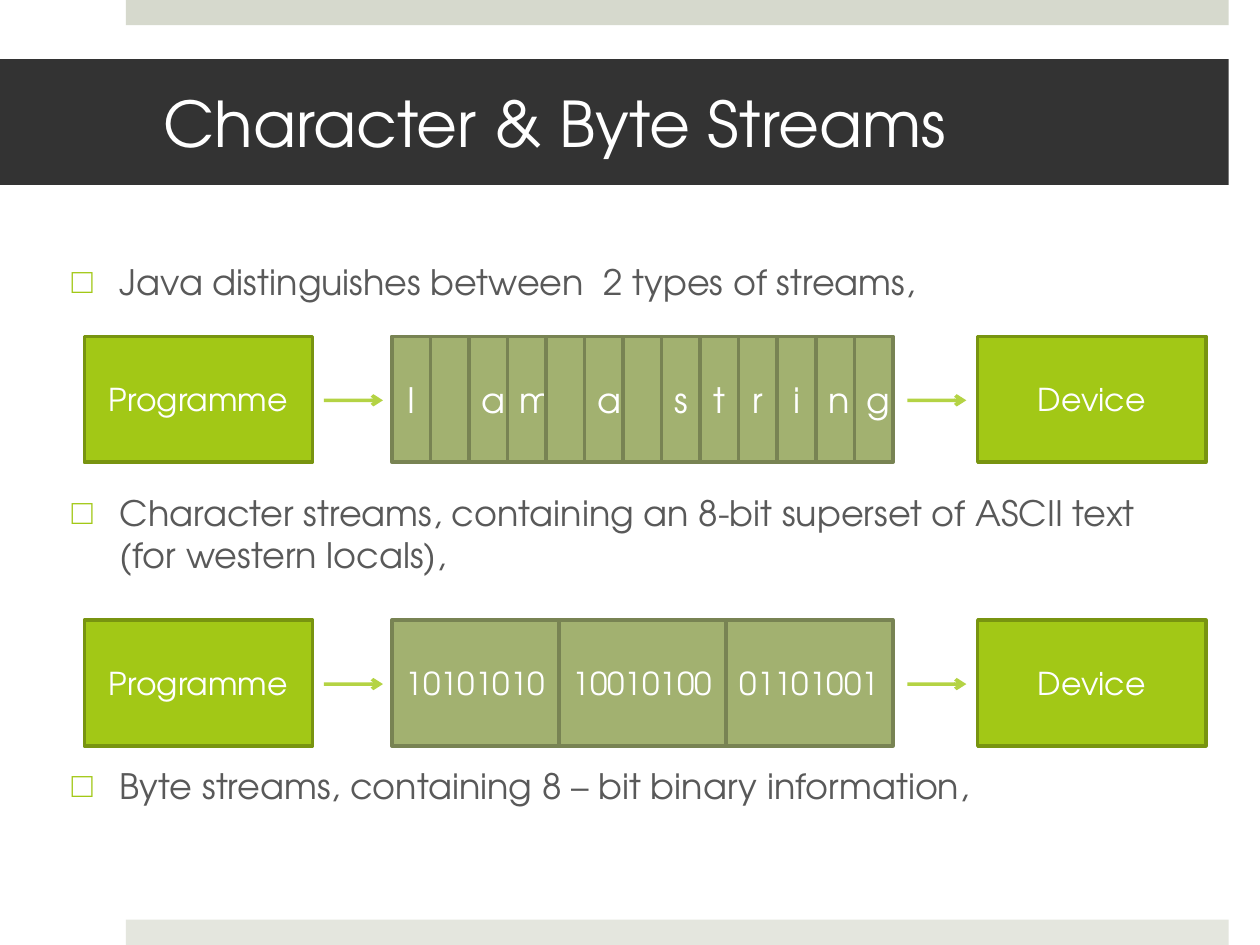
from dataclasses import dataclass

from lxml.etree import SubElement
from pptx import Presentation
from pptx.dml.color import RGBColor
from pptx.enum.shapes import MSO_CONNECTOR, MSO_SHAPE
from pptx.enum.text import MSO_ANCHOR, MSO_AUTO_SIZE, PP_ALIGN
from pptx.oxml.ns import qn
from pptx.util import Cm, Length, Pt


@dataclass(frozen=True)
class Theme:
    font: str = "TeX Gyre Adventor"
    white: str = "FFFFFF"
    body_text: str = "595959"
    banner: str = "333333"
    top_bar: str = "D6D9CD"
    bottom_bar: str = "E4E6DE"
    lime: str = "A2C816"
    lime_edge: str = "789410"
    sage: str = "A2B170"
    sage_edge: str = "788353"
    title_size: Length = Pt(36)
    body_size: Length = Pt(20)
    label_size: Length = Pt(18)
    stroke: Length = Pt(2)


@dataclass(frozen=True)
class Stream:
    """One diagram row: programme, cells of data, device."""
    top: float
    cells: tuple[str, ...]
    cell_size: Length


THEME = Theme()

# Diagram grid, in centimetres
ROW_HEIGHT = 2.54
ENDPOINT_WIDTH = 4.6
ENDPOINTS = {"Programme": 1.7, "Device": 19.71}
CELLS_LEFT, CELLS_WIDTH = 7.9, 10.1
ARROW_STARTS = (6.53, 18.29)
ARROW_LENGTH, ARROW_DROP = 1.19, 1.29

STREAMS = (
    Stream(6.78, tuple("I am a string"), THEME.body_size),
    Stream(12.5, ("10101010", "10010100", "01101001"), THEME.label_size),
)
# Statements and the space above each, which leaves room for the diagrams
STATEMENTS = (
    ("Java distinguishes between  2 types of streams,", Pt(0)),
    ("Character streams, containing an 8-bit superset of ASCII text "
     "(for western locals),", Pt(108)),
    ("Byte streams, containing 8 – bit binary information,", Pt(108)),
)


def apply(target, values: dict) -> None:
    for attribute, value in values.items():
        setattr(target, attribute, value)


def write(paragraph, text: str, size: Length, color: str) -> None:
    run = paragraph.add_run()
    run.text = text
    apply(run.font, {"name": THEME.font, "size": size})
    run.font.color.rgb = RGBColor.from_string(color)


def place(shape, left: float, top: float, width: float, height: float) -> None:
    apply(shape, {"left": Cm(left), "top": Cm(top),
                  "width": Cm(width), "height": Cm(height)})


def add_box(shapes, left: float, top: float, width: float, height: float,
            fill: str, edge: str | None = None):
    box = shapes.add_shape(MSO_SHAPE.RECTANGLE, Cm(left), Cm(top),
                           Cm(width), Cm(height))
    box.shadow.inherit = False
    box.fill.solid()
    box.fill.fore_color.rgb = RGBColor.from_string(fill)
    if edge:
        box.line.color.rgb = RGBColor.from_string(edge)
        box.line.width = THEME.stroke
    else:
        box.line.fill.background()
    return box


def label(box, text: str, size: Length) -> None:
    box.text_frame.vertical_anchor = MSO_ANCHOR.MIDDLE
    paragraph = box.text_frame.paragraphs[0]
    paragraph.alignment = PP_ALIGN.CENTER
    write(paragraph, text, size, THEME.white)


def add_arrow(shapes, left: float, y: float) -> None:
    arrow = shapes.add_connector(MSO_CONNECTOR.STRAIGHT, Cm(left), Cm(y),
                                 Cm(left + ARROW_LENGTH), Cm(y))
    arrow.line.color.rgb = RGBColor.from_string(THEME.lime)
    arrow.line.width = THEME.stroke
    properties = arrow._element.spPr
    outline = properties.find(qn("a:ln"))
    color = outline.find(".//" + qn("a:srgbClr"))
    SubElement(color, qn("a:alpha"), val="80000")
    SubElement(outline, qn("a:tailEnd"), type="arrow")
    SubElement(properties, qn("a:effectLst"))


def add_stream(slide, stream: Stream) -> None:
    shapes = slide.shapes.add_group_shape().shapes
    cell_width = CELLS_WIDTH / len(stream.cells)
    for index, content in enumerate(stream.cells):
        cell = add_box(shapes, CELLS_LEFT + index * cell_width, stream.top,
                       cell_width, ROW_HEIGHT, THEME.sage, THEME.sage_edge)
        if content.strip():
            label(cell, content, stream.cell_size)
    for name, left in ENDPOINTS.items():
        endpoint = add_box(shapes, left, stream.top, ENDPOINT_WIDTH,
                           ROW_HEIGHT, THEME.lime, THEME.lime_edge)
        label(endpoint, name, THEME.label_size)
    for start in ARROW_STARTS:
        add_arrow(shapes, start, stream.top + ARROW_DROP)


def add_bullet(paragraph) -> None:
    properties = paragraph._p.get_or_add_pPr()
    properties.set("marL", str(Cm(0.97)))
    properties.set("indent", str(-Cm(0.97)))
    color = SubElement(properties, qn("a:buClr"))
    SubElement(color, qn("a:srgbClr"), val=THEME.lime)
    SubElement(properties, qn("a:buChar"), char="□")


def fill_title(title) -> None:
    place(title, 0, 1.19, 24.77, 2.54)
    title.fill.solid()
    title.fill.fore_color.rgb = RGBColor.from_string(THEME.banner)
    apply(title.text_frame, {
        "margin_left": Cm(3.3), "margin_right": Cm(0.76),
        "vertical_anchor": MSO_ANCHOR.MIDDLE,
        "auto_size": MSO_AUTO_SIZE.NONE, "word_wrap": True})
    heading = title.text_frame.paragraphs[0]
    heading.alignment = PP_ALIGN.LEFT
    write(heading, "Character & Byte Streams", THEME.title_size, THEME.white)


def fill_body(body) -> None:
    place(body, 1.19, 5.13, 23.11, 12.73)
    frame = body.text_frame
    apply(frame, {"vertical_anchor": MSO_ANCHOR.TOP, "word_wrap": True,
                  "auto_size": MSO_AUTO_SIZE.NONE})
    for index, (statement, space_above) in enumerate(STATEMENTS):
        paragraph = frame.add_paragraph() if index else frame.paragraphs[0]
        add_bullet(paragraph)
        paragraph.space_before = space_above
        write(paragraph, statement, THEME.body_size, THEME.body_text)


def main() -> None:
    presentation = Presentation()
    apply(presentation, {"slide_width": Cm(25.4), "slide_height": Cm(19.05)})
    slide = presentation.slides.add_slide(presentation.slide_layouts[1])

    # Decorative bars
    add_box(slide.shapes, 2.54, 0, 22.23, 0.51, THEME.top_bar)
    add_box(slide.shapes, 2.54, 18.54, 22.23, 0.51, THEME.bottom_bar)

    # Title and statements
    fill_title(slide.shapes.title)
    fill_body(slide.placeholders[1])

    # Stream diagrams
    for stream in STREAMS:
        add_stream(slide, stream)

    presentation.save("out.pptx")


if __name__ == "__main__":
    main()
